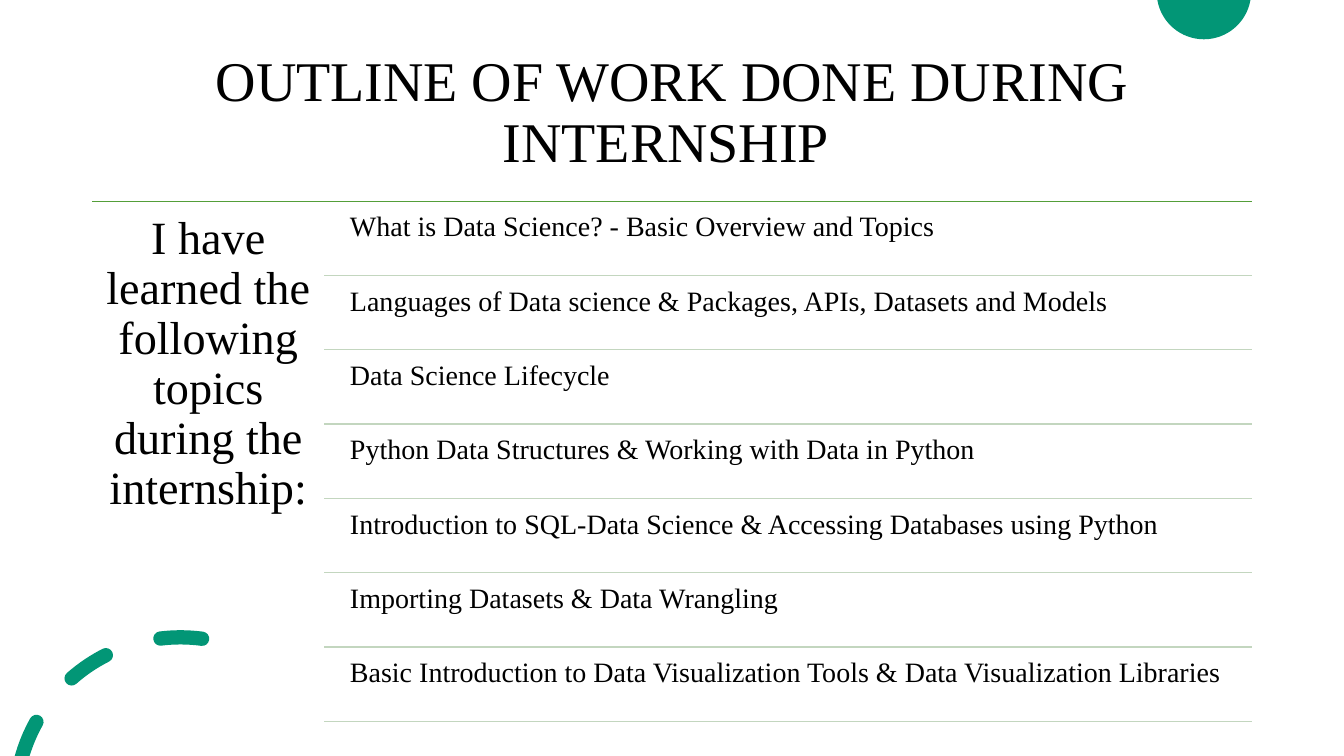
from math import cos, radians, sin, tan

from lxml.etree import SubElement
from pptx import Presentation
from pptx.dml.color import RGBColor
from pptx.enum.shapes import MSO_CONNECTOR
from pptx.enum.text import MSO_ANCHOR, MSO_AUTO_SIZE, PP_ALIGN
from pptx.oxml.ns import qn
from pptx.util import Cm, Pt

BLACK = RGBColor(0x00, 0x00, 0x00)
TEAL = RGBColor(0x02, 0x96, 0x76)
GREEN = RGBColor(0x54, 0x9E, 0x39)
PALE_GREEN = RGBColor(0xC3, 0xD6, 0xBF)
FONT = "Times New Roman"

LEFT, RIGHT = 2.33, 31.54
TOPICS_LEFT = 8.17
TOPIC_TEXT_LEFT = 8.62
LIST_TOP, LIST_HEIGHT = 5.07, 13.21
FIRST_TOPIC_TOP = 5.16
TOPIC_HEIGHT = 1.78

RING_CENTER = (4.55, 20.22)
RING_RADIUS = 4.16
DASH_HALF_WIDTH = 0.18

TOPICS = [
    "What is Data Science? - Basic Overview and Topics",
    "Languages of Data science & Packages, APIs, Datasets and Models",
    "Data Science Lifecycle",
    "Python Data Structures & Working with Data in Python",
    "Introduction to SQL-Data Science & Accessing Databases using Python",
    "Importing Datasets & Data Wrangling",
    "Basic Introduction to Data Visualization Tools & Data Visualization Libraries",
]
TOPIC_PITCH = 13.11 / len(TOPICS)


def write_text(shape, text, size, align=PP_ALIGN.LEFT, anchor=MSO_ANCHOR.TOP, inset=None):
    frame = shape.text_frame
    frame.word_wrap = True
    frame.auto_size = MSO_AUTO_SIZE.NONE
    frame.vertical_anchor = anchor
    if inset is not None:
        frame.margin_left = frame.margin_right = Cm(inset)
        frame.margin_top = frame.margin_bottom = Cm(inset)
    para = frame.paragraphs[0]
    para.alignment = align
    para.line_spacing = 0.9
    span = para.add_run()
    span.text = text
    span.font.name = FONT
    span.font.size = Pt(size)
    span.font.color.rgb = BLACK


def add_text(slide, text, left, top, width, height, **text_format):
    box = slide.shapes.add_textbox(Cm(left), Cm(top), Cm(width), Cm(height))
    write_text(box, text, **text_format)


def add_rule(slide, left, top, color):
    """Draw a horizontal line from left to the right margin."""
    rule = slide.shapes.add_connector(
        MSO_CONNECTOR.STRAIGHT, Cm(left), Cm(top), Cm(RIGHT), Cm(top))
    rule.line.color.rgb = color
    rule.line.width = Pt(1)
    SubElement(rule._element.spPr, qn("a:effectLst"))


def arc(center, radius, start, end, pieces=1):
    """Start point of an arc in cm, then three Bézier points for each piece."""
    def point(angle, along=0):
        return (center[0] + radius * (cos(angle) - along * sin(angle)),
                center[1] - radius * (sin(angle) + along * cos(angle)))

    turn = radians(end - start) / pieces
    handle = 4 / 3 * tan(turn / 4)
    points = [point(radians(start))]
    for piece in range(pieces):
        angle = radians(start) + piece * turn
        points += [point(angle, handle), point(angle + turn, -handle), point(angle + turn)]
    return points


def dash_outline(start, end, inner_end=None):
    """Outline of a dash on the ring; inner_end gives a cut end instead of a round one."""
    def round_cap(angle, first):
        middle = arc(RING_CENTER, RING_RADIUS, angle, angle)[0]
        return arc(middle, DASH_HALF_WIDTH, first, first + 180, pieces=2)[1:]

    inner = arc(RING_CENTER, RING_RADIUS - DASH_HALF_WIDTH, inner_end or end, start)
    outer = arc(RING_CENTER, RING_RADIUS + DASH_HALF_WIDTH, start, end)[1:]
    end_cap = [] if inner_end else round_cap(end, end)
    return inner + round_cap(start, start + 180) + outer + end_cap


def bend_segments(shape):
    """Turn each three straight segments of a freeform into one Bézier curve."""
    for outline in shape._element.iter(qn("a:path")):
        segments = outline.findall(qn("a:lnTo"))
        for first in range(0, len(segments), 3):
            curve = SubElement(outline, qn("a:cubicBezTo"))
            segments[first].addprevious(curve)
            for segment in segments[first:first + 3]:
                curve.append(segment[0])
                outline.remove(segment)


def add_outline(slide, contours):
    """Draw closed contours as one teal shape."""
    points = [[(Cm(x), Cm(y)) for x, y in contour] for contour in contours]
    builder = slide.shapes.build_freeform(*points[0][0])
    builder.add_line_segments(points[0][1:], close=True)
    for contour in points[1:]:
        builder.move_to(*contour[0])
        builder.add_line_segments(contour[1:], close=True)
    shape = builder.convert_to_shape()
    bend_segments(shape)
    shape.fill.solid()
    shape.fill.fore_color.rgb = TEAL
    shape.line.fill.background()
    shape.shadow.inherit = False


def add_title(slide, text):
    title = slide.shapes.title
    title.left, title.top = Cm(LEFT), Cm(1.03)
    title.width, title.height = Cm(RIGHT - LEFT), Cm(3.68)
    write_text(title, text, size=40, align=PP_ALIGN.CENTER, anchor=MSO_ANCHOR.MIDDLE)


def add_topics(slide):
    for index, topic in enumerate(TOPICS):
        top = FIRST_TOPIC_TOP + index * TOPIC_PITCH
        add_text(slide, topic, TOPIC_TEXT_LEFT, top, RIGHT - TOPIC_TEXT_LEFT,
                 TOPIC_HEIGHT, size=20, inset=0.2)
        add_rule(slide, TOPICS_LEFT, top + TOPIC_HEIGHT, PALE_GREEN)


def main():
    deck = Presentation()
    deck.slide_width, deck.slide_height = Cm(33.87), Cm(19.05)
    slide = deck.slides.add_slide(deck.slide_layouts[5])

    add_outline(slide, [arc((30.34, -0.2), 1.19, -9.7, -170.3, pieces=2)])
    add_outline(slide, [
        dash_outline(150.8, 164.4, inner_end=162.9),
        dash_outline(116.9, 131.3),
        dash_outline(82.5, 97),
    ])
    add_title(slide, "OUTLINE OF WORK DONE DURING INTERNSHIP ")
    add_rule(slide, LEFT, LIST_TOP, GREEN)
    add_text(slide, "I have learned the following topics during the internship:",
             LEFT, LIST_TOP, TOPICS_LEFT - LEFT, LIST_HEIGHT,
             size=33, align=PP_ALIGN.CENTER, inset=0.35)
    add_topics(slide)
    deck.save("out.pptx")


if __name__ == "__main__":
    main()
